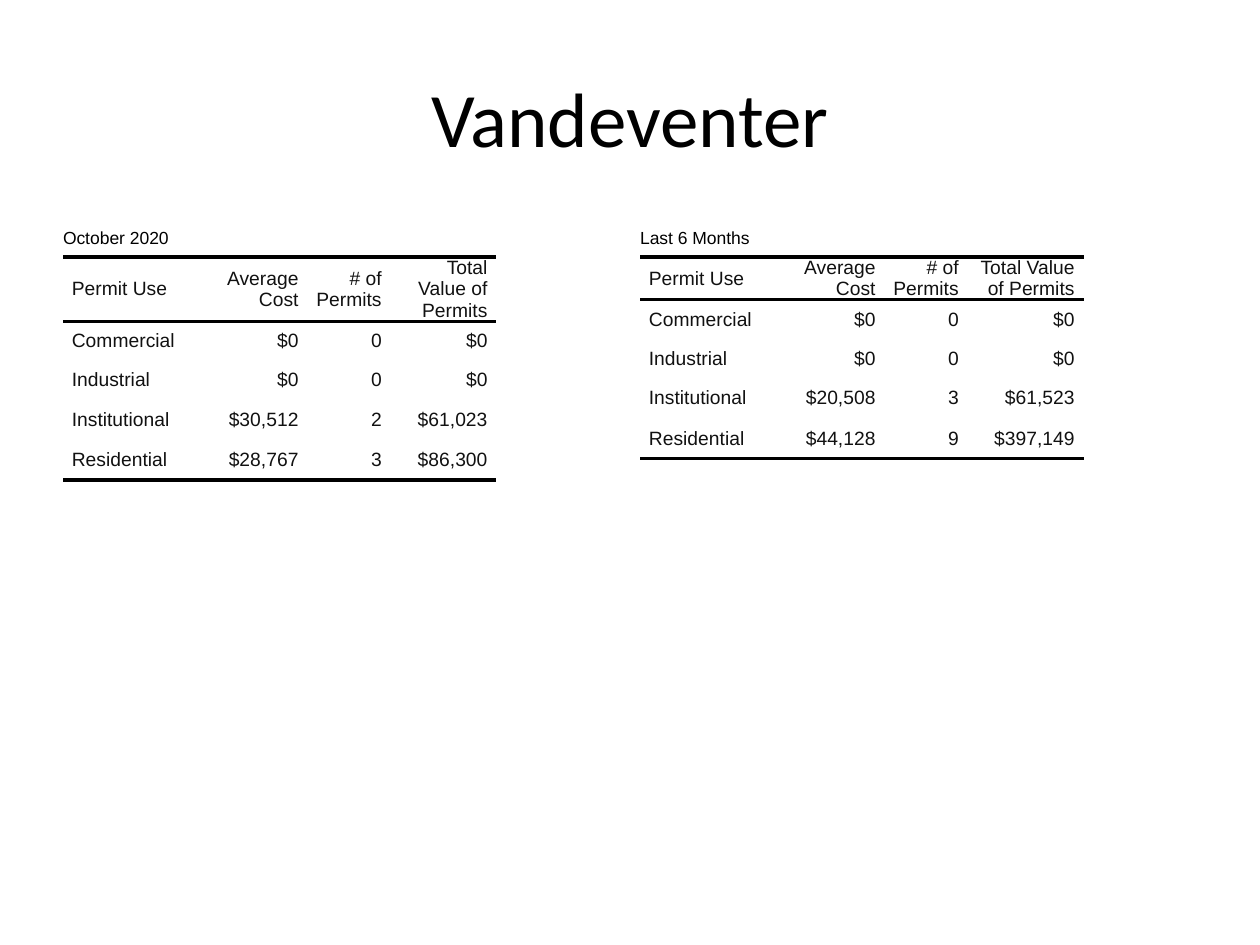
from lxml import etree
from pptx import Presentation
from pptx.dml.color import RGBColor
from pptx.enum.text import MSO_ANCHOR, PP_ALIGN
from pptx.oxml.ns import qn
from pptx.util import Inches, Pt

MIDDLE = MSO_ANCHOR.MIDDLE
LEFT, CENTER, RIGHT = PP_ALIGN.LEFT, PP_ALIGN.CENTER, PP_ALIGN.RIGHT
COLORS = {"black": "000000", "body": "111111"}
PLAIN_STYLE = "{2D5ABB26-0587-4C30-8999-92F81FD0307C}"  # no style, no grid

deck = Presentation()
deck.slide_width, deck.slide_height = Inches(10), Inches(7.5)
page = deck.slides.add_slide(deck.slide_layouts[6])
UNIT = deck.slide_width // 100  # all lengths are hundredths of the slide width

MARGIN, TABLE_TOP = 5, 17.5
TABLE_WIDTH, TABLE_HEIGHT, TABLE_STEP = 44.2, 49.5, 45.8
ROW_HEIGHTS = [2.9, 2.9, 3.1, 3.1, 3.2, 3.2]
CELL_INDENT = 0.7

HEADER = ["Permit Use", "Average Cost", "# of Permits", "Total Value of Permits"]
PERIODS = [
    ("October 2020", [11, 8.4, 6.6, 8.4], [
        ["Commercial", "$0", "0", "$0"],
        ["Industrial", "$0", "0", "$0"],
        ["Institutional", "$30,512", "2", "$61,023"],
        ["Residential", "$28,767", "3", "$86,300"],
    ]),
    ("Last 6 Months", [11, 8.4, 6.6, 9.2], [
        ["Commercial", "$0", "0", "$0"],
        ["Industrial", "$0", "0", "$0"],
        ["Institutional", "$20,508", "3", "$61,523"],
        ["Residential", "$44,128", "9", "$397,149"],
    ]),
]


def set_font(para, name, size, color):
    para.font.name, para.font.size = name, Pt(size)
    para.font.color.rgb = RGBColor.from_string(COLORS[color])


def add_rule(cell, side):
    """Draw a 2 pt black border on one side (T or B) of a cell."""
    properties = cell._tc.get_or_add_tcPr()
    line = etree.SubElement(properties, qn(f"a:ln{side}"), w=str(Pt(2)))
    fill = etree.SubElement(line, qn("a:solidFill"))
    etree.SubElement(fill, qn("a:srgbClr"), val=COLORS["black"])


for index, (period, column_widths, records) in enumerate(PERIODS):
    rows = [[period, "", "", ""], HEADER] + records
    frame = page.shapes.add_table(
        len(rows), len(HEADER),
        int((MARGIN + index * TABLE_STEP) * UNIT), int(TABLE_TOP * UNIT),
        int(TABLE_WIDTH * UNIT), int(TABLE_HEIGHT * UNIT))
    table = frame.table
    table.first_row = table.horz_banding = False
    table._tbl.tblPr.find(qn("a:tableStyleId")).text = PLAIN_STYLE
    for column, width in zip(table.columns, column_widths):
        column.width = int(width * UNIT)
    for row, height in zip(table.rows, ROW_HEIGHTS):
        row.height = int(height * UNIT)
    frame.width, frame.height = int(TABLE_WIDTH * UNIT), int(TABLE_HEIGHT * UNIT)
    table.cell(0, 0).merge(table.cell(0, len(HEADER) - 1))

    for r, values in enumerate(rows):
        for c, value in enumerate(values):
            cell = table.cell(r, c)
            cell.margin_left = cell.margin_right = 0
            cell.margin_top = cell.margin_bottom = 0
            cell.vertical_anchor = MIDDLE
            if r == 1:
                add_rule(cell, "T")
            if r in (1, len(rows) - 1):
                add_rule(cell, "B")
            cell.fill.background()

            cell.text = value
            para = cell.text_frame.paragraphs[0]
            if r == 0:
                set_font(para, "Arial", 10, "black")
                continue
            para.alignment = RIGHT if c else LEFT
            para.space_before = para.space_after = Pt(2)
            for side in ("marL", "marR"):
                para._p.get_or_add_pPr().set(side, str(int(CELL_INDENT * UNIT)))
            set_font(para, "Arial", 11, "body")

title = page.shapes.add_textbox(
    MARGIN * UNIT, 3 * UNIT, 90 * UNIT, int(12.5 * UNIT))
title.text_frame.word_wrap = True
title.text_frame.vertical_anchor = MIDDLE
title.text_frame.text = "Vandeventer"
heading = title.text_frame.paragraphs[0]
heading.alignment = CENTER
set_font(heading, "Calibri", 44, "black")

deck.save("out.pptx")
